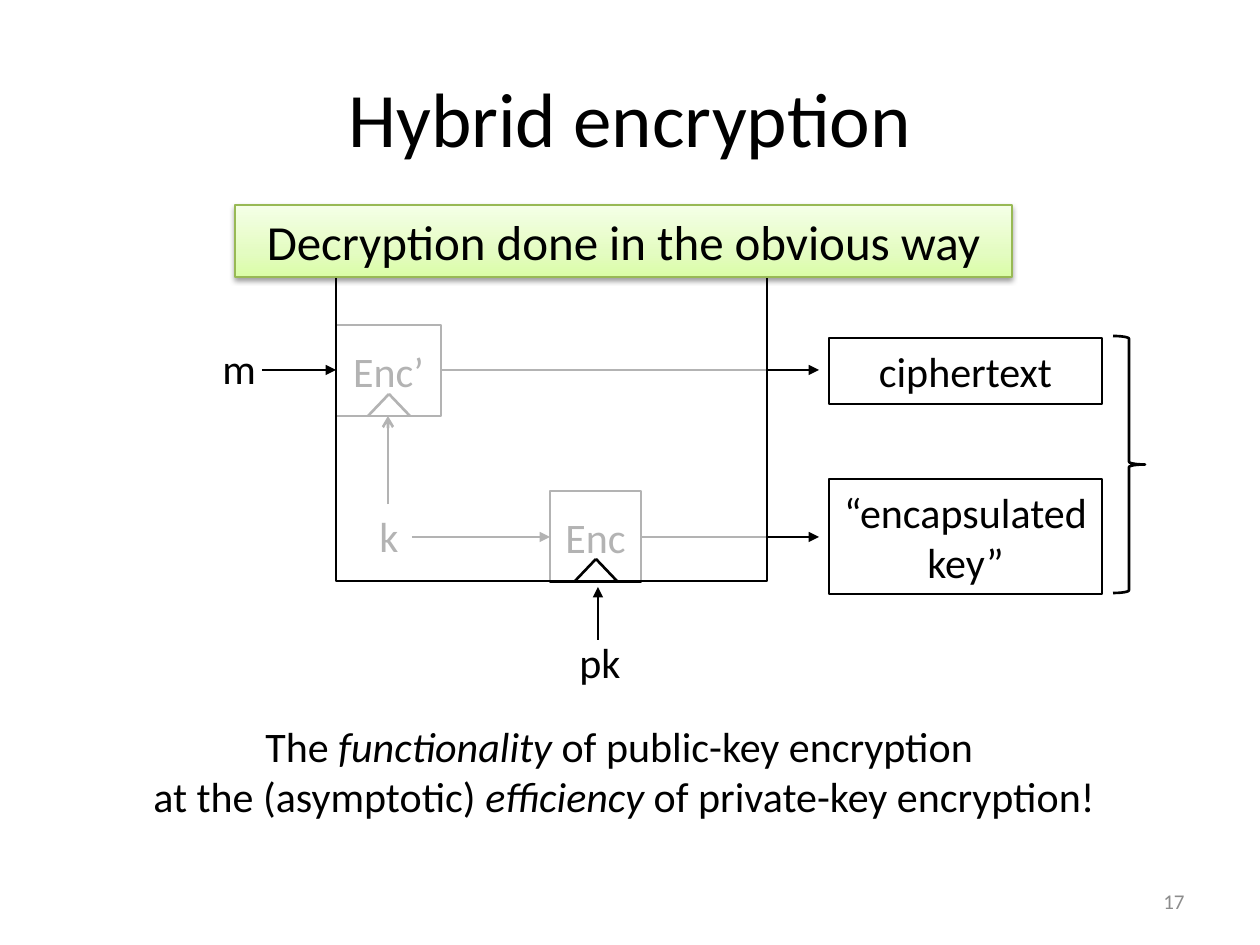
from copy import deepcopy

from lxml.etree import SubElement
from pptx import Presentation
from pptx.dml.color import RGBColor
from pptx.enum.shapes import MSO_CONNECTOR, MSO_SHAPE
from pptx.enum.text import MSO_ANCHOR, MSO_AUTO_SIZE, PP_ALIGN
from pptx.oxml.ns import qn
from pptx.util import Emu, Pt

PX = 914400 / 126
FONT = "Calibri"
BLACK, WHITE, GREY = "000000", "FFFFFF", "8C8C8C"
LINE_WIDTH = 1.5


def px(length):
    return Emu(round(length * PX))


def box_px(*lengths):
    return [px(length) for length in lengths]


def rgb(color):
    return RGBColor.from_string(color)


def style_text(frame, size=24, color=BLACK, align=PP_ALIGN.CENTER,
               anchor=MSO_ANCHOR.MIDDLE):
    frame.vertical_anchor = anchor
    for paragraph in frame.paragraphs:
        paragraph.alignment = align
        for run in paragraph.runs:
            run.font.name = FONT
            run.font.size = Pt(size)
            run.font.color.rgb = rgb(color)


def add_outline(slide, kind, box, text="", fill=None, size=24,
                anchor=MSO_ANCHOR.MIDDLE):
    """Add a black-lined preset shape, hollow unless a fill is given."""
    shape = slide.shapes.add_shape(kind, *box_px(*box))
    shape.shadow.inherit = False
    shape.line.color.rgb = rgb(BLACK)
    shape.line.width = Pt(LINE_WIDTH)
    if fill:
        shape.fill.solid()
        shape.fill.fore_color.rgb = rgb(fill)
    else:
        shape.fill.background()
    if text:
        shape.text_frame.text = text
        style_text(shape.text_frame, size, anchor=anchor)
    return shape


def add_line(slide, start, end, arrow=None):
    line = slide.shapes.add_connector(
        MSO_CONNECTOR.STRAIGHT, *box_px(*start, *end))
    line.line.color.rgb = rgb(BLACK)
    line.line.width = Pt(LINE_WIDTH)
    if arrow:
        SubElement(line.line._get_or_add_ln(), qn("a:tailEnd"), type=arrow)
    SubElement(line._element.spPr, qn("a:effectLst"))


def add_label(slide, text, box):
    label = slide.shapes.add_textbox(*box_px(*box))
    frame = label.text_frame
    frame.text = text
    frame.word_wrap = False
    frame.auto_size = MSO_AUTO_SIZE.SHAPE_TO_FIT_TEXT
    style_text(frame, align=PP_ALIGN.LEFT, anchor=MSO_ANCHOR.TOP)


def add_key_notch(slide, x, y):
    """Draw the key-input wedge standing on a box's lower edge."""
    for side in (-1, 1):
        add_line(slide, (x + side * 21, y), (x, y - 22))


def add_title(slide, text, box):
    title = slide.shapes.title
    title.left, title.top, title.width, title.height = box_px(*box)
    title.text_frame.text = text
    style_text(title.text_frame, 44)


def add_scheme(slide, left, top, width, height):
    """Draw the veiled encryption scheme with its inputs and outgoing wires."""
    def at(x, y):
        return left + x, top + y

    message_y, key_y = 93, 260
    key_x, public_key_x = 52, 262
    wire_end = width + 52
    cipher_bottom = 139

    add_key_notch(slide, *at(key_x + 1, cipher_bottom))
    add_outline(slide, MSO_SHAPE.RECTANGLE, (*at(0, 48), 105, 91), "Enc’")
    add_outline(slide, MSO_SHAPE.RECTANGLE, (*at(214, 214), 91, 91), "Enc")
    for text, x, y, label_width in (
            ("m", -126, 59, 59), ("k", 31, 227, 44), ("pk", 231, 353, 67)):
        add_label(slide, text, (*at(x, y), label_width, 63))
    for start, end, arrow in (
            ((-74, message_y), (0, message_y), "triangle"),
            ((105, message_y), (wire_end, message_y), "triangle"),
            ((76, key_y), (214, key_y), "triangle"),
            ((305, key_y), (wire_end, key_y), "triangle"),
            ((key_x, 227), (key_x, cipher_bottom), "arrow"),
            ((public_key_x, 363), (public_key_x, 310), "triangle")):
        add_line(slide, at(*start), at(*end), arrow)

    veil = add_outline(slide, MSO_SHAPE.RECTANGLE,
                       (left, top, width, height), fill=WHITE)
    veil_color = veil._element.spPr.find(
        qn("a:solidFill") + "/" + qn("a:srgbClr"))
    SubElement(veil_color, qn("a:alpha"), val="70000")
    add_key_notch(slide, *at(public_key_x - 2, height))


def add_outputs(slide, left, top, width, height):
    """Stack the two ciphertext parts and bracket them on the right."""
    part_width, brace_width = 273, 32
    for text, y, part_height in (("ciphertext", 2, 66),
                                 ("“encapsulated key”", 143, 115)):
        add_outline(slide, MSO_SHAPE.RECTANGLE,
                    (left, top + y, part_width, part_height), text, WHITE)
    add_outline(slide, MSO_SHAPE.RIGHT_BRACE,
                (left + width - brace_width, top, brace_width, height))


def add_banner(slide, text, box):
    banner = add_outline(slide, MSO_SHAPE.RECTANGLE, box, text, size=28,
                         anchor=MSO_ANCHOR.TOP)
    banner.line.color.rgb = rgb("98B955")
    banner.line.width = Pt(0.75)

    banner.fill.gradient()
    banner.fill.gradient_angle = 90
    properties = banner._element.spPr
    stop_list = properties.find(qn("a:gradFill") + "/" + qn("a:gsLst"))
    stop_list.insert(1, deepcopy(stop_list[0]))
    colors = ((0, "DAFDA7"), (0.35, "E4FCC2"), (1, "F5FFE7"))
    for stop, (position, color) in zip(banner.fill.gradient_stops, colors):
        stop.position = position
        stop.color.rgb = rgb(color)

    shadow = SubElement(
        properties.find(qn("a:effectLst")), qn("a:outerShdw"),
        blurRad=str(Pt(3.1)), dist=str(Pt(1.6)), dir="5400000", rotWithShape="0")
    shadow_color = SubElement(shadow, qn("a:srgbClr"), val=BLACK)
    SubElement(shadow_color, qn("a:alpha"), val="38000")


def add_conclusion(slide, lines, box):
    """Write centred lines whose middle part is in italics."""
    frame = slide.shapes.add_textbox(*box_px(*box)).text_frame
    frame.word_wrap = False
    frame.auto_size = MSO_AUTO_SIZE.SHAPE_TO_FIT_TEXT
    for index, (before, emphasis, after) in enumerate(lines):
        paragraph = frame.add_paragraph() if index else frame.paragraphs[0]
        for part in (before, emphasis, after):
            run = paragraph.add_run()
            run.text = part
            run.font.italic = part == emphasis
    style_text(frame, anchor=MSO_ANCHOR.TOP)


def add_page_number(slide, number, box):
    frame = slide.shapes.add_textbox(*box_px(*box)).text_frame
    frame.word_wrap = True
    frame.text = number
    style_text(frame, 12, GREY, PP_ALIGN.RIGHT)


def main():
    deck = Presentation()
    deck.slide_width, deck.slide_height = box_px(1260, 945)
    slide = deck.slides.add_slide(deck.slide_layouts.get_by_name("Title Only"))
    add_title(slide, "Hybrid encryption", (63, 38, 1134, 158))
    add_scheme(slide, 336, 277, 431, 304)
    add_outputs(slide, 829, 336, 316, 257)
    add_conclusion(slide, (
        ("The ", "functionality", " of public-key encryption "),
        ("at the (asymptotic) ", "efficiency", " of private-key encryption!"),
    ), (135, 714, 978, 115))
    add_banner(slide, "Decryption done in the obvious way", (235, 205, 777, 72))
    add_page_number(slide, "17", (903, 876, 294, 50))
    deck.save("out.pptx")


if __name__ == "__main__":
    main()
